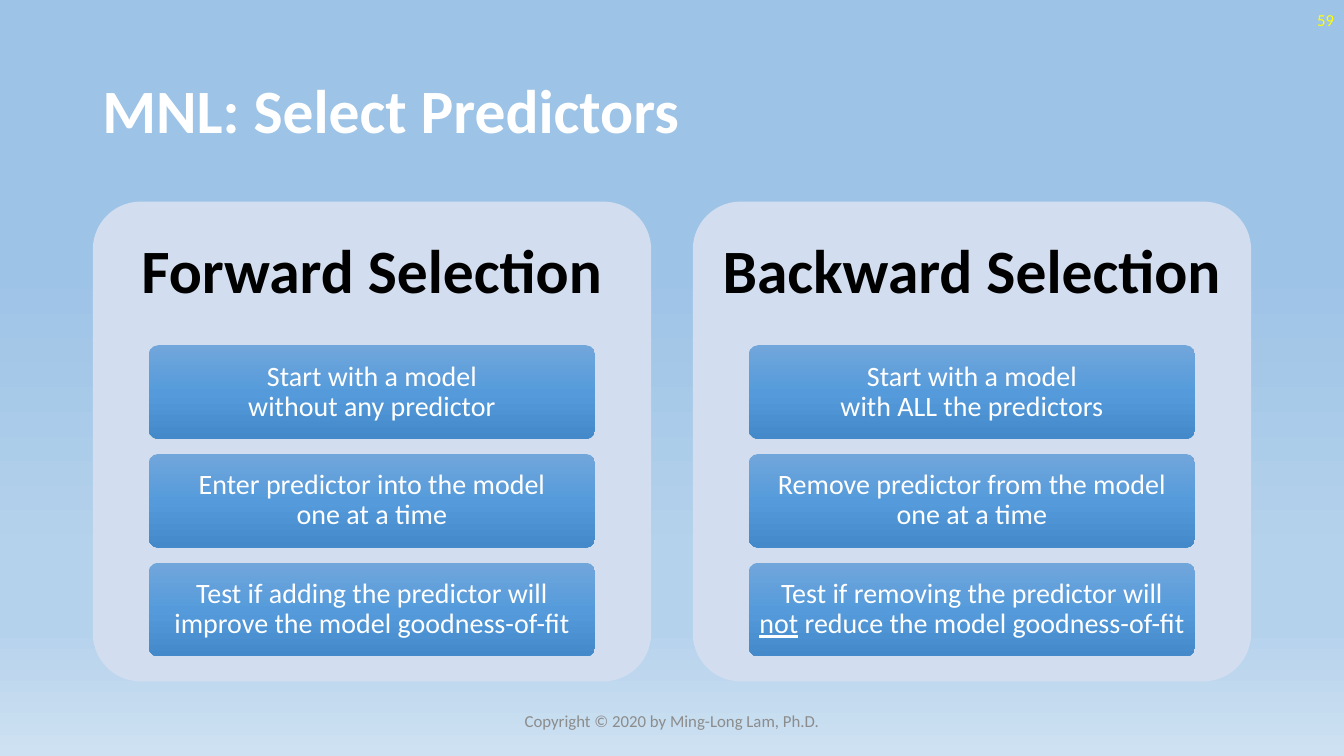
from pptx import Presentation
from pptx.dml.color import RGBColor
from pptx.enum.shapes import MSO_SHAPE as Shape
from pptx.enum.text import MSO_ANCHOR as Anchor, PP_ALIGN as Align
from pptx.oxml.ns import qn
from pptx.util import Cm, Pt
from lxml.etree import SubElement


def set_gradient(fill, element, stops):
    """Vertical gradient from (percent, colour) stops, top to bottom."""
    fill.gradient()
    fill.gradient_angle = 270
    stop_list = element.find(".//" + qn("a:gsLst"))
    for old_stop in list(stop_list):
        stop_list.remove(old_stop)
    for percent, colour in stops:
        stop = SubElement(stop_list, qn("a:gs"), pos=str(percent * 1000))
        SubElement(stop, qn("a:srgbClr"), val=colour)


def write(shape, text, size, colour, align=Align.CENTER, bold=False,
          spacing=None, margins=(0.25, 0.13)):
    """Fill a shape with one paragraph; text between underscores is underlined."""
    frame = shape.text_frame
    frame.word_wrap = True
    frame.vertical_anchor = Anchor.MIDDLE
    frame.margin_left = frame.margin_right = Cm(margins[0])
    frame.margin_top = frame.margin_bottom = Cm(margins[1])
    paragraph = frame.paragraphs[0]
    pieces = text.split("_")
    paragraph.text = pieces[0]
    for index, piece in enumerate(pieces[1:], 1):
        run = paragraph.add_run()
        run.text = piece
        if index % 2:
            run.font.underline = True
    paragraph.alignment = align
    if spacing:
        paragraph.line_spacing = spacing
    for run in paragraph.runs:
        run.font.name = "Calibri"
        run.font.size = Pt(size)
        run.font.bold = bold
        run.font.color.rgb = RGBColor.from_string(colour)


presentation = Presentation()
presentation.slide_width = Cm(33.87)
presentation.slide_height = Cm(19.05)
slide = presentation.slides.add_slide(presentation.slide_layouts[6])
shapes = slide.shapes

# Background
set_gradient(slide.background.fill, slide.element,
             [(35, "9DC3E6"), (74, "B5D2EC"), (83, "B5D2EC"), (100, "CEE1F2")])

# Title
title = shapes.add_textbox(Cm(2.33), Cm(1.02), Cm(29.21), Cm(3.68))
write(title, "MNL: Select Predictors", 44, "FFFFFF", Align.LEFT, True, 0.9)

# Selection panels, each with a heading and three steps
panels = [
    ("Forward Selection", [
        "Start with a model\vwithout any predictor",
        "Enter predictor into the model\vone at a time",
        "Test if adding the predictor will\vimprove the model goodness-of-fit",
    ]),
    ("Backward Selection", [
        "Start with a model\vwith ALL the predictors",
        "Remove predictor from the model\vone at a time",
        "Test if removing the predictor will\v_not_ reduce the model goodness-of-fit",
    ]),
]
for column, (heading_text, steps) in enumerate(panels):
    left = 2.34 + column * 15.12
    panel = shapes.add_shape(Shape.ROUNDED_RECTANGLE,
                             Cm(left), Cm(5.08), Cm(14.07), Cm(12.09))
    panel.adjustments[0] = 0.1
    panel.shadow.inherit = False
    panel.fill.solid()
    panel.fill.fore_color.rgb = RGBColor.from_string("D2DEEF")
    panel.line.fill.background()

    heading = shapes.add_textbox(Cm(left), Cm(5.08), Cm(14.07), Cm(3.63))
    write(heading, heading_text, 44, "000000", bold=True, spacing=0.9,
          margins=(0.46, 0.46))

    for row, step_text in enumerate(steps):
        step = shapes.add_shape(Shape.ROUNDED_RECTANGLE, Cm(left + 1.41),
                                Cm(8.7 + row * 2.74), Cm(11.25), Cm(2.36))
        step.adjustments[0] = 0.1
        step.shadow.inherit = False
        set_gradient(step.fill, step.element,
                     [(0, "71A6DB"), (50, "559BDB"), (100, "448ACA")])
        step.line.fill.background()
        write(step, step_text, 20, "FFFFFF", spacing=0.9, margins=(0.14, 0.1))

# Slide number and copyright line
number = shapes.add_textbox(Cm(26.25), Cm(0), Cm(7.62), Cm(1.01))
write(number, "59", 12, "FFFF00", Align.RIGHT)
footer = shapes.add_textbox(Cm(11.22), Cm(17.66), Cm(11.43), Cm(1.01))
write(footer, "Copyright © 2020 by Ming-Long Lam, Ph.D.", 12, "8C8C8C")

presentation.save("out.pptx")
